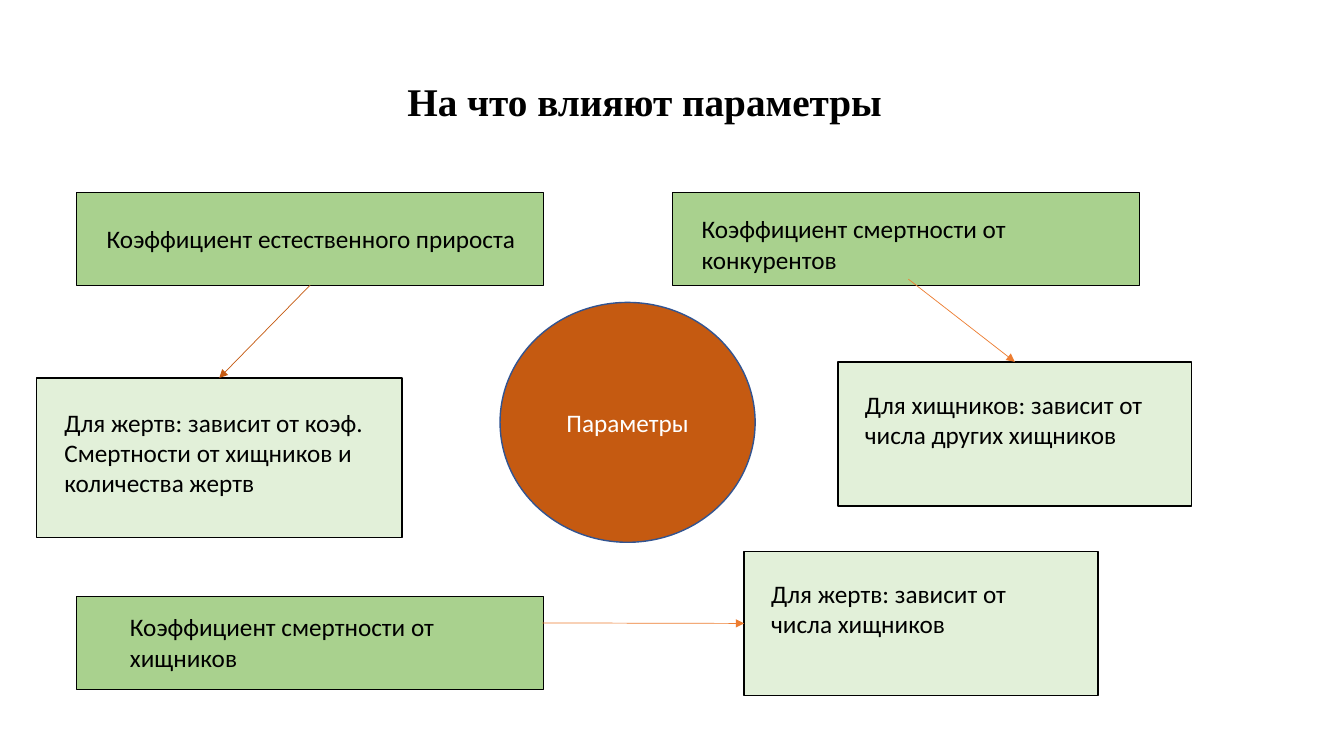
from lxml.etree import SubElement
from pptx import Presentation
from pptx.dml.color import RGBColor
from pptx.enum.shapes import MSO_CONNECTOR, MSO_SHAPE
from pptx.enum.text import MSO_ANCHOR, MSO_AUTO_SIZE, PP_ALIGN
from pptx.oxml.ns import qn
from pptx.util import Inches, Pt

BLACK = RGBColor(0x00, 0x00, 0x00)
WHITE = RGBColor(0xFF, 0xFF, 0xFF)
GREEN = RGBColor(0xA9, 0xD1, 0x8E)
PALE_GREEN = RGBColor(0xE2, 0xF0, 0xD9)
RUST = RGBColor(0xC5, 0x5A, 0x11)
ORANGE = RGBColor(0xED, 0x7D, 0x31)
BLUE = RGBColor(0x32, 0x54, 0x91)

TOP, LEFT, BOTTOM = 0, 1, 2  # connection sites of a rectangle


def write(shape, text, size=18, font="Calibri", color=BLACK, bold=False,
          align=PP_ALIGN.LEFT, anchor=MSO_ANCHOR.TOP):
    frame = shape.text_frame
    frame.word_wrap = True
    frame.auto_size = MSO_AUTO_SIZE.NONE
    frame.vertical_anchor = anchor
    paragraph = frame.paragraphs[0]
    paragraph.alignment = align
    run = paragraph.add_run()
    run.text = text
    run.font.size = Pt(size)
    run.font.name = font
    run.font.bold = bold
    run.font.color.rgb = color


def add_outline(shapes, kind, box, fill, line):
    shape = shapes.add_shape(kind, *map(Inches, box))
    shape.shadow.inherit = False
    shape.fill.solid()
    shape.fill.fore_color.rgb = fill
    shape.line.color.rgb = line
    shape.line.width = Pt(1)
    return shape


def add_card(slide, box, fill, text, inset):
    """Group a rectangle with its label; inset is (dx, dy, width, height)."""
    left, top = box[:2]
    dx, dy, width, height = inset
    card = slide.shapes.add_group_shape().shapes
    frame = add_outline(card, MSO_SHAPE.RECTANGLE, box, fill, BLACK)
    label = card.add_textbox(*map(Inches, (left + dx, top + dy, width, height)))
    write(label, text)
    return frame


def add_coefficient(slide, left, top, text, inset):
    return add_card(slide, (left, top, 4.63, 0.92), GREEN, text, inset)


def add_effect(slide, left, top, text, width=3.51, height=1.43,
               inset=(0.17, 0.22, 3.16, 0.71)):
    return add_card(slide, (left, top, width, height), PALE_GREEN, text, inset)


def add_arrow(slide, start, end, color):
    """Draw an arrow; each end is an (x, y) point or a (shape, site) joint."""
    free = [Inches(v) for v in start] if isinstance(start[0], float) else [0, 0]
    arrow = slide.shapes.add_connector(MSO_CONNECTOR.STRAIGHT, *free, *free)
    if not isinstance(start[0], float):
        arrow.begin_connect(*start)
    arrow.end_connect(*end)
    arrow.line.color.rgb = color
    arrow.line.width = Pt(0.5)
    SubElement(arrow.line._get_or_add_ln(), qn("a:tailEnd"), type="triangle")
    SubElement(arrow._element.spPr, qn("a:effectLst"))


def add_title(slide, box):
    title = slide.shapes.title
    title.left, title.top, title.width, title.height = map(Inches, box)
    write(title, "На что влияют параметры", size=28, font="Times New Roman", bold=True)


def add_hub(slide, box):
    hub = add_outline(slide.shapes, MSO_SHAPE.OVAL, box, RUST, BLUE)
    write(hub, "Параметры", color=WHITE, align=PP_ALIGN.CENTER,
          anchor=MSO_ANCHOR.MIDDLE)


def build_parameters_slide(prs):
    slide = prs.slides.add_slide(prs.slide_layouts[5])
    add_title(slide, (3.94, 0.72, 5.45, 0.57))

    # Coefficients
    growth = add_coefficient(slide, 0.76, 1.91, "Коэффициент естественного прироста",
                             (0.2, 0.26, 4.34, 0.41))
    add_coefficient(slide, 6.67, 1.91, "Коэффициент смертности от конкурентов",
                    (0.19, 0.16, 4.29, 0.71))
    add_coefficient(slide, 0.76, 5.92, "Коэффициент смертности от хищников",
                    (0.43, 0.1, 4.31, 0.71))

    # What each coefficient affects
    prey_growth = add_effect(
        slide, 0.36, 3.75,
        "Для жертв: зависит от коэф. Смертности от хищников и количества жертв",
        width=3.63, height=1.58, inset=(0.18, 0.24, 3.26, 1.01))
    predators = add_effect(slide, 8.31, 3.59,
                           "Для хищников: зависит от числа других хищников")
    prey_deaths = add_effect(slide, 7.38, 5.47, "Для жертв: зависит от числа хищников")

    # Arrows from coefficient to effect
    add_arrow(slide, (growth, BOTTOM), (prey_growth, TOP), RUST)
    add_arrow(slide, (9.01, 2.77), (predators, TOP), ORANGE)
    add_arrow(slide, (5.38, 6.18), (prey_deaths, LEFT), ORANGE)

    # Central circle
    add_hub(slide, (4.96, 3.0, 2.53, 2.38))


def main():
    prs = Presentation()
    prs.slide_width = Inches(13.33)
    prs.slide_height = Inches(7.5)
    build_parameters_slide(prs)
    prs.save("out.pptx")


if __name__ == "__main__":
    main()
